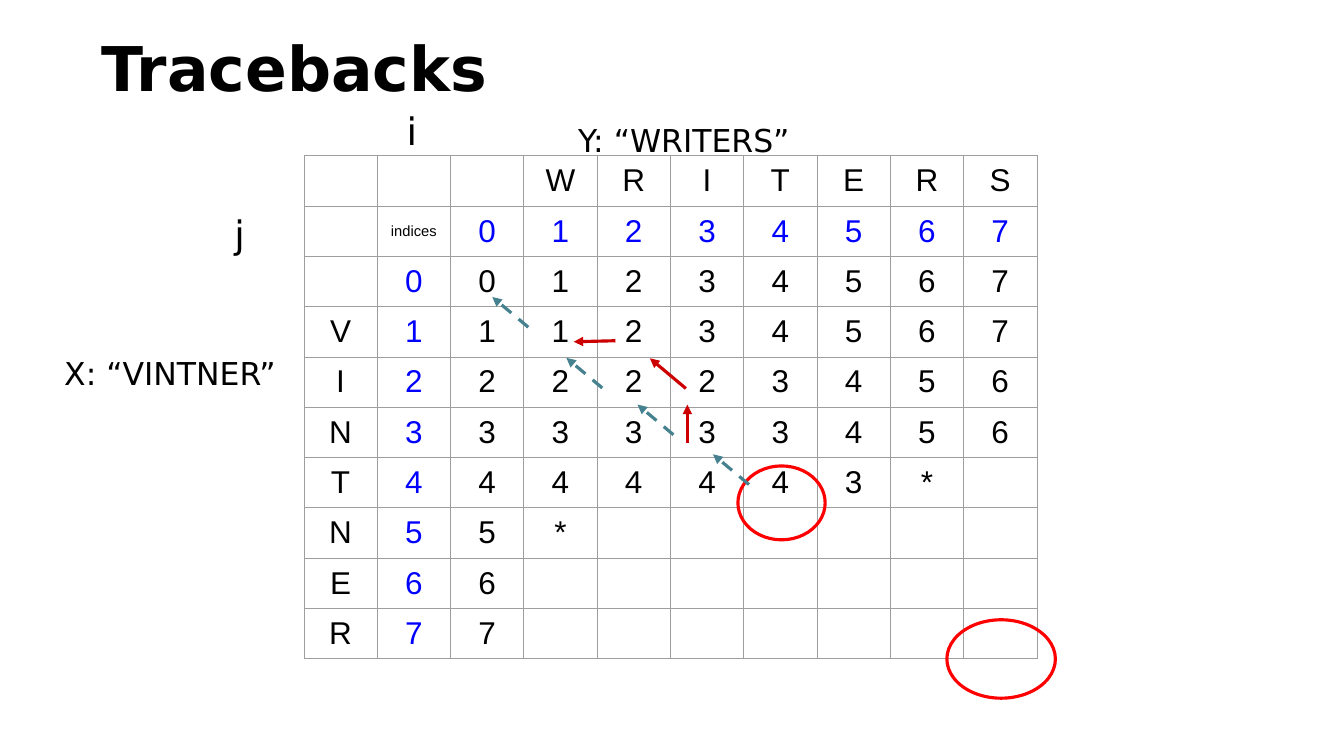
"""Build the slide that explains tracebacks in an edit-distance table."""
from dataclasses import dataclass

from lxml import etree
from pptx import Presentation
from pptx.dml.color import RGBColor
from pptx.enum.dml import MSO_LINE
from pptx.enum.shapes import MSO_CONNECTOR, MSO_SHAPE
from pptx.enum.text import MSO_ANCHOR, MSO_AUTO_SIZE, PP_ALIGN
from pptx.oxml.ns import qn
from pptx.util import Inches, Pt

DASH = MSO_LINE.DASH
STRAIGHT = MSO_CONNECTOR.STRAIGHT
OVAL = MSO_SHAPE.OVAL
TOP, MIDDLE = MSO_ANCHOR.TOP, MSO_ANCHOR.MIDDLE
LEFT, CENTER = PP_ALIGN.LEFT, PP_ALIGN.CENTER
NO_AUTOFIT = MSO_AUTO_SIZE.NONE


@dataclass(frozen=True)
class Theme:
    """Colours, fonts and sizes of the slide."""
    ink: str = "000000"
    index: str = "0000FF"
    border: str = "9E9E9E"
    ring: str = "FF0000"
    step: str = "CC0000"
    diagonal: str = "45818E"
    heading_font: str = "DejaVu Sans"
    cell_font: str = "Arial"
    title: float = 58.7
    axis: float = 36
    body: float = 30
    note: float = 14
    stroke: float = 3
    hairline: float = 0.75


@dataclass(frozen=True)
class Grid:
    """Turns columns and rows of the distance table into slide lengths."""
    left: float
    top: float
    column: float
    row: float

    def point(self, column, row):
        """Return the slide position of a grid point."""
        return (Inches(self.left + column * self.column),
                Inches(self.top + row * self.row))

    def box(self, column, row, columns, rows):
        """Return left, top, width and height of a grid area."""
        return (*self.point(column, row),
                Inches(columns * self.column), Inches(rows * self.row))


THEME = Theme()
SLIDE_WIDTH, SLIDE_HEIGHT = Inches(17.78), Inches(10)
GRID = Grid(left=4.02, top=2.06, column=0.97, row=6.65 / 10)
TITLE_SHARES = (0.07, 0.04, 0.86, 0.11)

WORD_X, WORD_Y = "VINTNER", "WRITERS"
SCORES = ["01234567", "11234567", "22223456", "33333456",
          "444443*", "5*", "6", "7"]
MATRIX = [["", "", "", *WORD_Y], ["", "indices", *"01234567"]]
MATRIX += [[letter, str(index), *scores]
           for index, (letter, scores) in enumerate(zip(["", *WORD_X], SCORES))]

LABELS = [
    (f"Y: “{WORD_Y}”", THEME.body, (3.64, -0.84, 3.46, 0.66)),
    (f"X: “{WORD_X}”", THEME.body, (-3.37, 3.8, 3.23, 0.66)),
    ("j", THEME.axis, (-1.05, 0.95, 0.59, 1.08)),
    ("i", THEME.axis, (1.3, -1.1, 0.34, 0.66)),
]
RINGS = [(8.77, 9.23, 1.48, 1.56), (5.92, 6.17, 1.19, 1.47)]
DIAGONAL_MOVE = (-0.49, -0.6)
DIAGONAL_STARTS = [(5.04, 5.55), (4.07, 4.62), (6.07, 6.54), (3.06, 3.41)]
STEPS = [((5.21, 4.63), DIAGONAL_MOVE),
         ((4.25, 3.68), (-0.57, 0.02)),
         ((5.23, 5.71), (0, -0.76))]


def apply(target, **values):
    """Set each given attribute on the target."""
    for name, value in values.items():
        setattr(target, name, value)


def style_font(paragraph, font, size, color, bold=False):
    """Format the text of a paragraph."""
    apply(paragraph.font, name=font, size=Pt(size), bold=bold)
    paragraph.font.color.rgb = RGBColor.from_string(color)


def style_line(line, color):
    """Give a line its colour and the common stroke width."""
    line.color.rgb = RGBColor.from_string(color)
    line.width = Pt(THEME.stroke)


def place_title(slide, shares):
    """Move and format the title placeholder."""
    title = slide.shapes.title
    left, top, width, height = shares
    apply(title, left=int(left * SLIDE_WIDTH), top=int(top * SLIDE_HEIGHT),
          width=int(width * SLIDE_WIDTH), height=int(height * SLIDE_HEIGHT))
    title.text_frame.text = "Tracebacks"
    apply(title.text_frame, vertical_anchor=MIDDLE, auto_size=NO_AUTOFIT)
    heading = title.text_frame.paragraphs[0]
    apply(heading, alignment=LEFT, line_spacing=0.9)
    style_font(heading, THEME.heading_font, THEME.title, THEME.ink, bold=True)


def draw_borders(cell):
    """Outline the four sides of a table cell."""
    properties = cell._tc.get_or_add_tcPr()
    for side in ("lnL", "lnR", "lnT", "lnB"):
        edge = etree.SubElement(properties, qn(f"a:{side}"),
                                w=str(Pt(THEME.hairline)))
        fill = etree.SubElement(edge, qn("a:solidFill"))
        etree.SubElement(fill, qn("a:srgbClr"), val=THEME.border)


def fill_cell(cell, value, is_index):
    """Write one value of the matrix into its cell."""
    draw_borders(cell)
    cell.fill.background()
    is_note = value == "indices"
    margin = Inches(0.1)
    apply(cell, margin_left=margin, margin_right=margin, margin_top=margin,
          margin_bottom=margin, vertical_anchor=MIDDLE if is_note else TOP)
    if value:
        cell.text = value
        entry = cell.text_frame.paragraphs[0]
        entry.alignment = CENTER
        style_font(entry, THEME.cell_font,
                   THEME.note if is_note else THEME.body,
                   THEME.index if is_index and not is_note else THEME.ink)


def place_matrix(slide, grid):
    """Add the distance table on its grid."""
    size = len(MATRIX)
    table = slide.shapes.add_table(size, size, *grid.box(0, 0, size, size)).table
    apply(table, first_row=False, horz_banding=False)
    for row, values in enumerate(MATRIX):
        for column in range(size):
            value = values[column] if column < len(values) else ""
            fill_cell(table.cell(row, column), value, row == 1 or column == 1)


def place_label(slide, text, size, box):
    """Add a word or axis label beside the table."""
    frame = slide.shapes.add_textbox(*box).text_frame
    margin = Inches(0.1)
    apply(frame, text=text, word_wrap=True, margin_left=margin,
          margin_right=margin, margin_top=margin, margin_bottom=margin)
    style_font(frame.paragraphs[0], THEME.heading_font, size, THEME.ink)


def place_ring(slide, box):
    """Circle a cell of the table."""
    ring = slide.shapes.add_shape(OVAL, *box)
    ring.shadow.inherit = False
    ring.fill.background()
    style_line(ring.line, THEME.ring)


def place_arrow(slide, grid, start, move, color, dash=None):
    """Draw a traceback arrow from a grid point along a move."""
    end = [origin + shift for origin, shift in zip(start, move)]
    arrow = slide.shapes.add_connector(STRAIGHT, *grid.point(*start),
                                       *grid.point(*end))
    style_line(arrow.line, color)
    if dash:
        arrow.line.dash_style = dash
    etree.SubElement(arrow.line._get_or_add_ln(), qn("a:tailEnd"), type="triangle")
    etree.SubElement(arrow._element.spPr, qn("a:effectLst"))


def main():
    """Build and save the slide."""
    deck = Presentation()
    apply(deck, slide_width=SLIDE_WIDTH, slide_height=SLIDE_HEIGHT)
    slide = deck.slides.add_slide(deck.slide_layouts[5])
    place_title(slide, TITLE_SHARES)
    place_matrix(slide, GRID)
    for text, size, area in LABELS:
        place_label(slide, text, size, GRID.box(*area))
    for area in RINGS:
        place_ring(slide, GRID.box(*area))
    for start in DIAGONAL_STARTS:
        place_arrow(slide, GRID, start, DIAGONAL_MOVE, THEME.diagonal, DASH)
    for start, move in STEPS:
        place_arrow(slide, GRID, start, move, THEME.step)
    deck.save("out.pptx")


if __name__ == "__main__":
    main()
